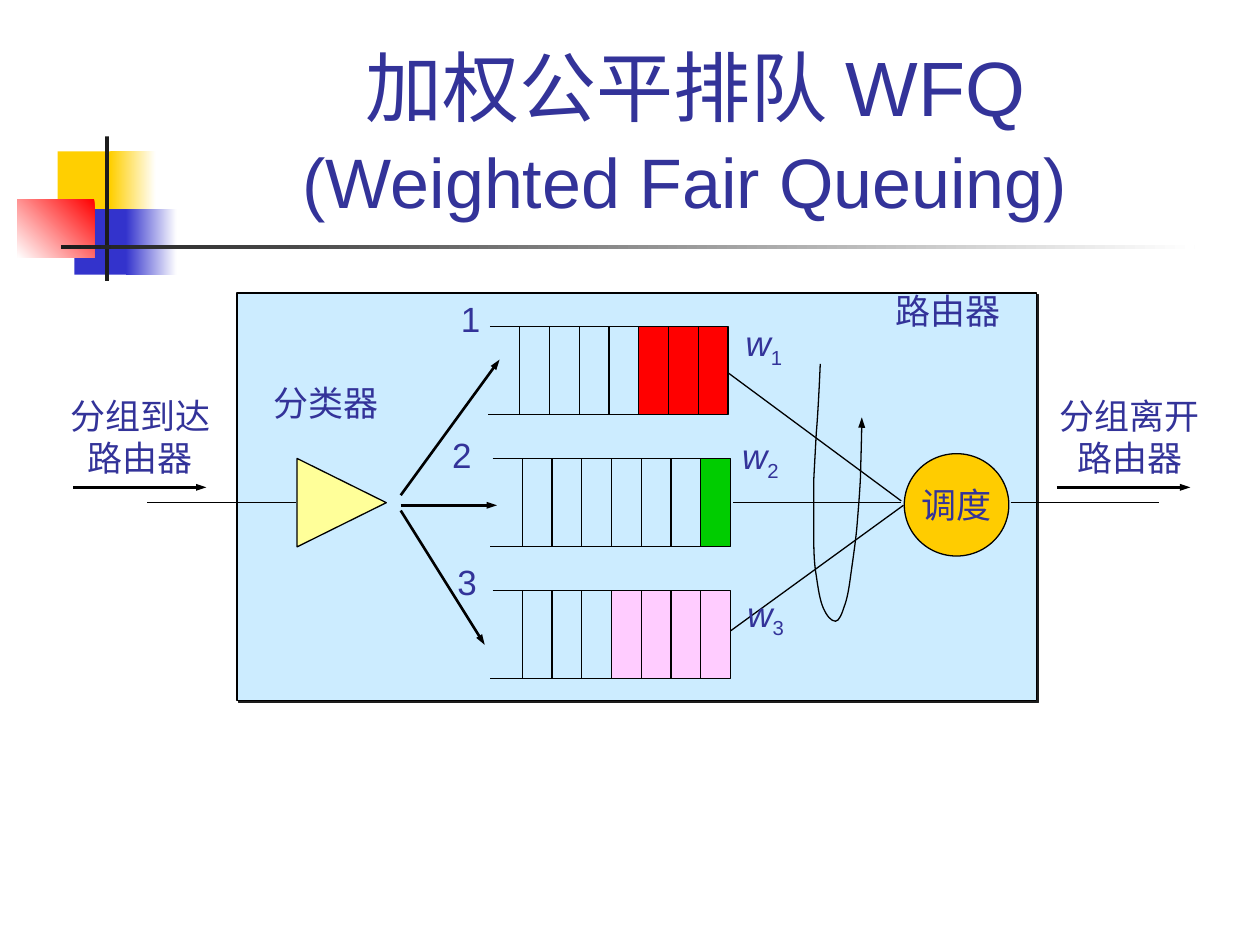
"""Build a slide explaining weighted fair queuing inside a router."""
from lxml.etree import SubElement
from pptx import Presentation
from pptx.dml.color import RGBColor
from pptx.enum.shapes import MSO_CONNECTOR, MSO_SHAPE
from pptx.enum.text import MSO_ANCHOR, PP_ALIGN
from pptx.oxml.ns import qn
from pptx.util import Pt

COLORS = {
    "text": "333399", "black": "000000", "white": "FFFFFF", "dark": "1C1C1C",
    "yellow": "FFCF01", "blue": "3333CC", "red": "FF0000", "router": "CCECFF",
    "green": "00CC00", "pink": "FFCCFF", "classifier": "FFFF99", "scheduler": "FFCC00",
}
RGB = {name: RGBColor.from_string(value) for name, value in COLORS.items()}
THIN, THICK = 0.75, 1.5


def style(shape, fill=None, line=None):
    shape.shadow.inherit = False
    if fill:
        shape.fill.solid()
        shape.fill.fore_color.rgb = RGB[fill]
    else:
        shape.fill.background()
    if line:
        shape.line.color.rgb = RGB["black"]
        shape.line.width = Pt(line)
    else:
        shape.line.fill.background()
    return shape


def write(frame, text, size=20, align=PP_ALIGN.LEFT, wrap=False):
    frame.text = text
    frame.word_wrap = wrap
    for paragraph in frame.paragraphs:
        paragraph.alignment = align
        paragraph.font.size = Pt(size)
        paragraph.font.name = "Arial"
        paragraph.font.color.rgb = RGB["text"]
    return frame.paragraphs[0]


prs = Presentation()
prs.slide_width, prs.slide_height = Pt(720), Pt(540)
slide = prs.slides.add_slide(prs.slide_layouts[5])
shapes = slide.shapes

ornaments = [
    (33, 86.5, 34.5, 37.5, "yellow", None),
    (63, 86.5, 26, 37.5, "yellow", 0),
    (42.5, 119.5, 33, 37.5, "blue", None),
    (72, 119.5, 29, 37.5, "blue", 0),
    (10, 113.75, 44, 33.5, "red", 225),
    (60, 78, 2.25, 82.5, "dark", None),
    (34.75, 140.25, 648, 2.25, "dark", 0),
]
for left, top, width, height, color, angle in ornaments:
    ornament = style(shapes.add_shape(MSO_SHAPE.RECTANGLE, Pt(left), Pt(top), Pt(width), Pt(height)), color)
    if angle is not None:
        ornament.fill.gradient()
        ornament.fill.gradient_angle = angle
        for stop, name, position in zip(ornament.fill.gradient_stops, (color, "white"), (0, 1)):
            stop.color.rgb = RGB[name]
            stop.position = position

title = shapes.title
title.left, title.top, title.width, title.height = Pt(90.75), Pt(16.5), Pt(613.5), Pt(115.25)
title.text_frame.vertical_anchor = MSO_ANCHOR.BOTTOM
heading = write(title.text_frame, "加权公平排队 WFQ\v(Weighted Fair Queuing)", 44, PP_ALIGN.CENTER, True)
heading.runs[1].font.size = Pt(40)
heading.add_run().text = " "

router = style(shapes.add_shape(MSO_SHAPE.RECTANGLE, Pt(135.5), Pt(167.5), Pt(457), Pt(233)), "router", THIN)
effects = router._element.spPr.find(qn("a:effectLst"))
shadow = SubElement(effects, qn("a:outerShdw"), dist=str(Pt(1.4)), dir="2700000", algn="ctr", rotWithShape="0")
SubElement(shadow, qn("a:srgbClr"), val=COLORS["dark"])

lines = [
    (84.25, 287, 169.25, 287, THIN, False),
    (42, 278.5, 118, 278.5, THICK, True),
    (229, 283, 285.5, 205.5, THICK, True),
    (229, 288.75, 284, 288.75, THICK, True),
    (229, 291.75, 277, 368.5, THICK, True),
    (416, 213, 515, 286.25, THIN, False),
    (419, 287, 515, 287, THIN, False),
    (417.5, 360.5, 516.25, 288.75, THIN, False),
    (577.5, 287, 662.5, 287, THIN, False),
    (604, 278.5, 680.25, 278.5, THICK, True),
]

CELL, CELLS, QUEUE_HEIGHT = 17, 8, 50.25
queues = [(416, 186.5, "red", 3), (417.5, 262, "green", 1), (417.5, 337.5, "pink", 4)]
for right, top, color, packets in queues:
    bottom = top + QUEUE_HEIGHT
    filled = packets * CELL
    style(shapes.add_shape(MSO_SHAPE.RECTANGLE, Pt(right - filled), Pt(top), Pt(filled), Pt(QUEUE_HEIGHT)), color)
    left = right - CELLS * CELL
    queue = shapes.build_freeform(Pt(left), Pt(top))
    queue.add_line_segments(
        [(Pt(right), Pt(top)), (Pt(right), Pt(bottom)), (Pt(left - 1.25), Pt(bottom))], close=False)
    style(queue.convert_to_shape(), line=THIN)
    for index in range(1, CELLS):
        divider = right - index * CELL
        lines.append((divider, top, divider, bottom, THIN, False))

classifier = style(
    shapes.add_shape(MSO_SHAPE.ISOSCELES_TRIANGLE, Pt(170), Pt(261.75), Pt(50.5), Pt(51)), "classifier", THIN)
classifier.rotation = 90

scheduler = style(shapes.add_shape(MSO_SHAPE.OVAL, Pt(516.75), Pt(259.25), Pt(59.75), Pt(58.5)), "scheduler", THIN)
scheduler.text_frame.vertical_anchor = MSO_ANCHOR.MIDDLE
write(scheduler.text_frame, "调度", align=PP_ALIGN.CENTER)

sweep_points = [
    (468.5, 214.5), (467.5, 236), (466.5, 247.5),
    (466, 256.5), (465.5, 265.5), (465, 275),
    (465, 284.5), (465, 294), (465, 304.5),
    (465, 314), (465.25, 322), (466.5, 329),
    (467.5, 336), (468.5, 343), (470.5, 347.5),
    (472.5, 352), (475, 355), (477.5, 355),
    (479.5, 355), (481.25, 350.5), (482.5, 346.5),
    (484, 342.5), (485, 337.5), (486, 330),
    (487, 322.5), (489, 309.5), (489.75, 300.5),
    (490.5, 291), (491.25, 283), (491.75, 272.5),
    (492, 262), (492.5, 245.5), (492.5, 238.5),
]
builder = shapes.build_freeform(Pt(468.75), Pt(208))
builder.add_line_segments([(Pt(x), Pt(y)) for x, y in sweep_points], close=False)
sweep = style(builder.convert_to_shape(), line=THIN)
segments = sweep._element.findall(".//" + qn("a:lnTo"))
for first, second, third in zip(segments[::3], segments[1::3], segments[2::3]):
    first.tag = qn("a:cubicBezTo")
    for segment in (second, third):
        first.append(segment[0])
        segment.getparent().remove(segment)
arrows = [sweep]

for x1, y1, x2, y2, width, arrowed in lines:
    line = shapes.add_connector(MSO_CONNECTOR.STRAIGHT, Pt(x1), Pt(y1), Pt(x2), Pt(y2))
    line.line.color.rgb = RGB["black"]
    line.line.width = Pt(width)
    SubElement(line._element.spPr, qn("a:effectLst"))
    if arrowed:
        arrows.append(line)
for arrow in arrows:
    SubElement(arrow._element.spPr.find(qn("a:ln")), qn("a:tailEnd"), type="triangle", w="sm", len="med")

labels = [
    (33, 221.75, 94.5, 55.5, "分组到达\n路由器", PP_ALIGN.CENTER),
    (598.25, 221.75, 94.5, 55.5, "分组离开\n路由器", PP_ALIGN.CENTER),
    (149, 214.5, 80, 31.5, "分类器", PP_ALIGN.LEFT),
    (504.75, 162, 80, 31.5, "路由器", PP_ALIGN.LEFT),
    (256.25, 166.5, 27.5, 31.5, "1", PP_ALIGN.LEFT),
    (251.25, 244, 27.5, 31.5, "2", PP_ALIGN.LEFT),
    (254.25, 317, 27.5, 31.5, "3", PP_ALIGN.LEFT),
]
for left, top, width, height, text, align in labels:
    label = shapes.add_textbox(Pt(left), Pt(top), Pt(width), Pt(height))
    write(label.text_frame, text, align=align)

for number, (left, top) in enumerate([(419, 180), (417, 244.75), (420, 334.75)], 1):
    weight = shapes.add_textbox(Pt(left), Pt(top), Pt(35.25), Pt(34.5))
    symbol = write(weight.text_frame, "w")
    symbol.runs[0].font.italic = True
    subscript = symbol.add_run()
    subscript.text = str(number)
    subscript.font._element.set("baseline", "-25000")

prs.save("out.pptx")
